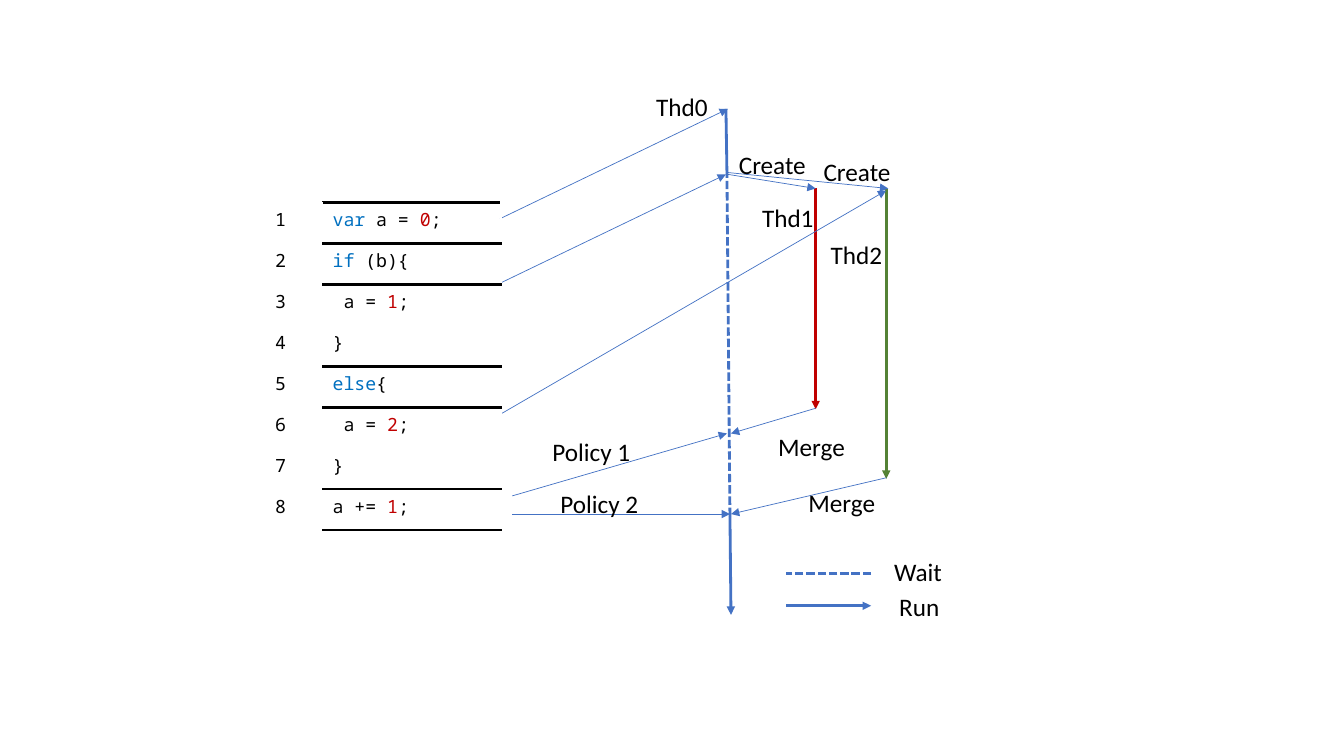
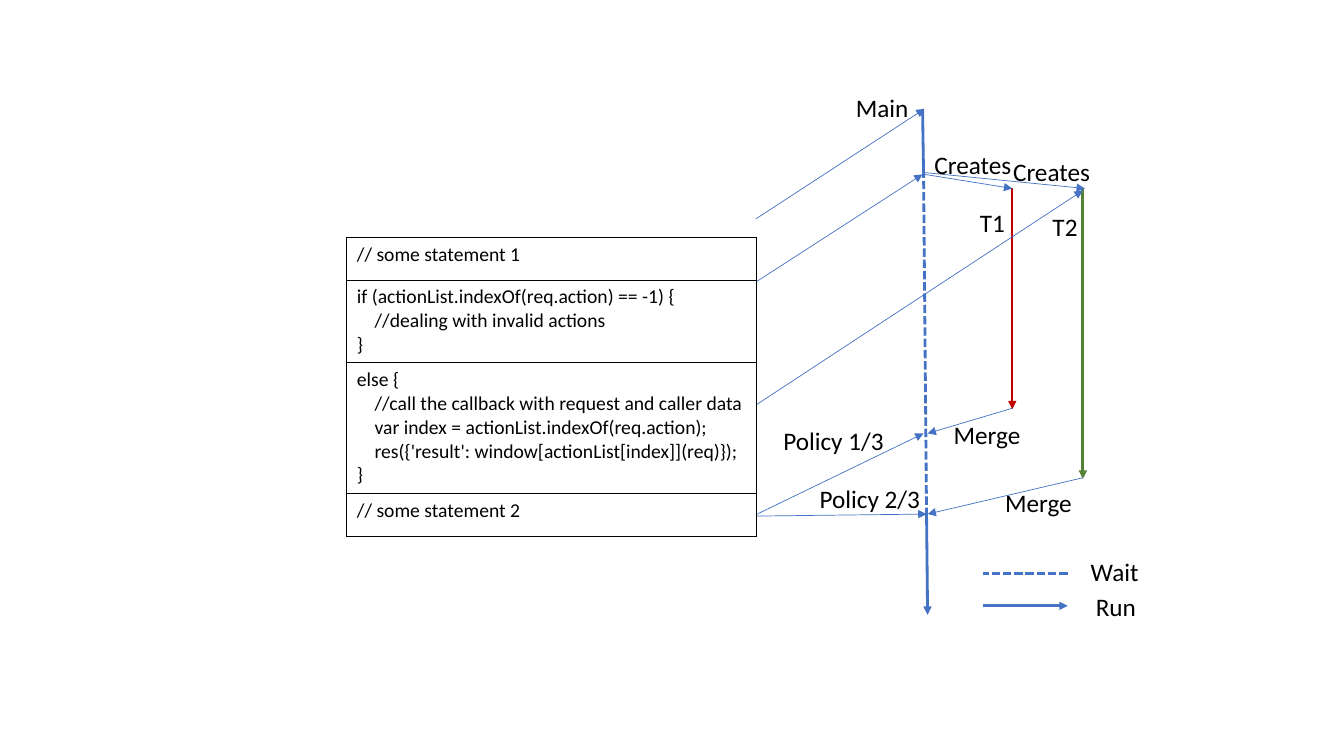
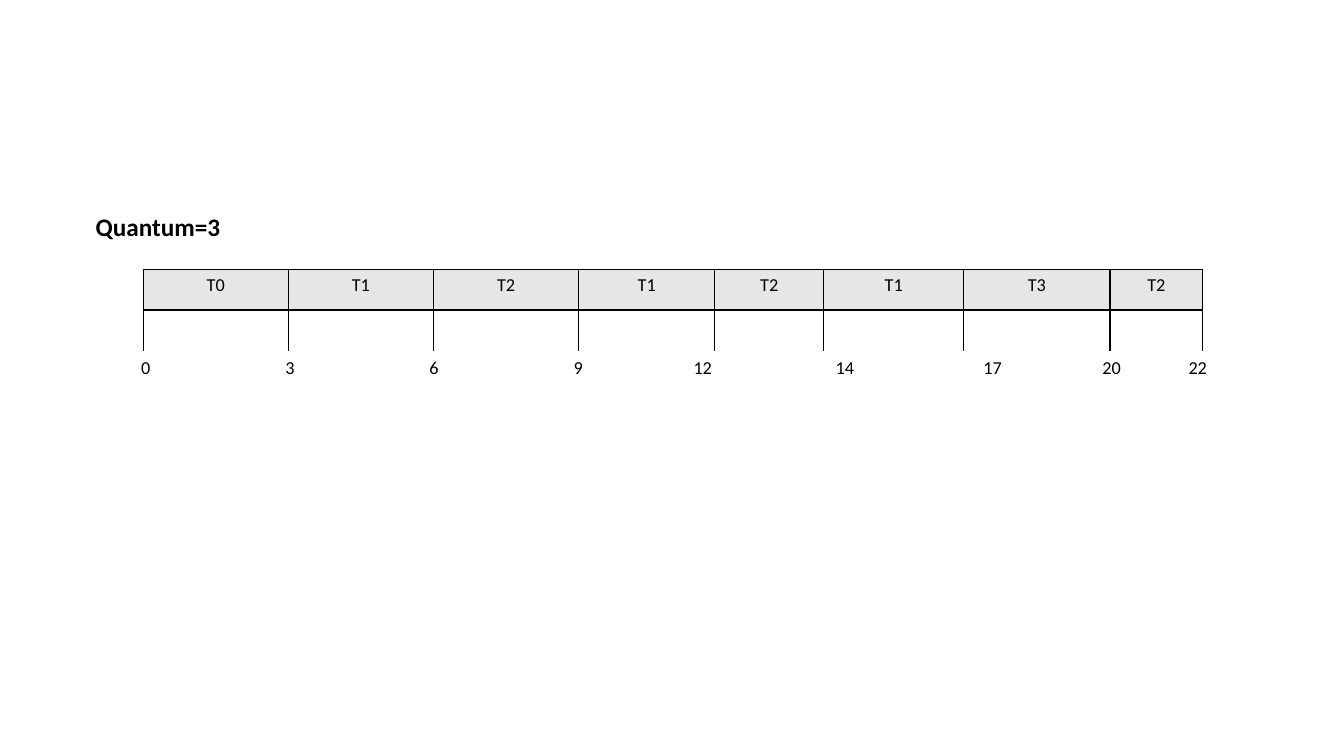
"""Draw two thread diagrams and a scheduling timeline."""
from lxml import etree
from pptx import Presentation, util as u
from pptx.dml.color import RGBColor
from pptx.enum import dml, text
from pptx.oxml import ns

BLACK = RGBColor(0x00, 0x00, 0x00)
WHITE = RGBColor(0xFF, 0xFF, 0xFF)
BLUE = RGBColor(0x44, 0x72, 0xC4)
RED = RGBColor(0xC0, 0x00, 0x00)
GREEN = RGBColor(0x54, 0x82, 0x35)
WORD = RGBColor(0x00, 0x70, 0xC0)
GREY = RGBColor(0xE7, 0xE6, 0xE6)
SANS, MONO = "Calibri", "Noto Sans Mono"
SPACE = {SANS: 0.226, MONO: 0.6}


def grid(n):
    return u.Inches(n / 10)


def write(frame, lines, font=SANS, size=18, color=BLACK, bold=False, align=None):
    for i, line in enumerate(lines):
        par = frame.paragraphs[0] if i == 0 else frame.add_paragraph()
        par.alignment = align
        runs = [line] if isinstance(line, str) else line
        if isinstance(runs[0], int):
            dent = u.Pt(runs[0] * SPACE[font] * size)
            prop = par._p.get_or_add_pPr()
            prop.set("marL", str(dent))
            prop.set("indent", "0")
            runs = runs[1:]
        for item in runs:
            word, tint = (item, color) if isinstance(item, str) else item
            run = par.add_run()
            run.text = word
            run.font.name = font
            run.font.size = u.Pt(size)
            run.font.bold = bold
            run.font.color.rgb = tint


class Deck:
    def __init__(self):
        self.file = Presentation()
        self.file.slide_width = u.Inches(13.33)
        self.file.slide_height = u.Inches(7.5)

    def page(self):
        self.slide = self.file.slides.add_slide(self.file.slide_layouts[6])

    def label(self, x, y, wide, words, **form):
        box = self.slide.shapes.add_textbox(*map(grid, (x, y, wide, 4)))
        frame = box.text_frame
        frame.word_wrap = True
        frame.auto_size = text.MSO_AUTO_SIZE.SHAPE_TO_FIT_TEXT
        write(frame, [words], **form)

    def line(self, start, end, color=BLUE, width=0.5, dash=False, head=True):
        link = self.slide.shapes.add_connector(1, *map(grid, (*start, *end)))
        link.line.color.rgb = color
        link.line.width = u.Pt(width)
        if dash:
            link.line.dash_style = dml.MSO_LINE.SQUARE_DOT
        if head:
            tip = etree.SubElement(link.line._get_or_add_ln(), ns.qn("a:tailEnd"))
            tip.set("type", "triangle")
        etree.SubElement(link._element.spPr, ns.qn("a:effectLst"))

    def table(self, x, y, cols, rows, cells, edge, fill=None, **form):
        size = map(grid, (x, y, sum(cols), sum(rows)))
        table = self.slide.shapes.add_table(len(rows), len(cols), *size).table
        table.first_row = table.horz_banding = False
        for col, wide in zip(table.columns, cols):
            col.width = grid(wide)
        for row, high in zip(table.rows, rows):
            row.height = grid(high)
        for r, line in enumerate(cells):
            for c, lines in enumerate(line):
                cell = table.cell(r, c)
                if fill and lines:
                    cell.fill.solid()
                    cell.fill.fore_color.rgb = fill
                else:
                    cell.fill.background()
                self.frame(cell, lambda side: edge(r, c, side))
                write(cell.text_frame, lines, **form)

    def frame(self, cell, edge):
        prop = cell._tc.get_or_add_tcPr()
        for i, side in enumerate("LRTB"):
            rule = etree.Element(ns.qn("a:ln" + side))
            prop.insert(i, rule)
            if edge(side) is None:
                etree.SubElement(rule, ns.qn("a:noFill"))
                continue
            color, width = edge(side)
            rule.set("w", str(u.Pt(width)))
            fill = etree.SubElement(rule, ns.qn("a:solidFill"))
            etree.SubElement(fill, ns.qn("a:srgbClr")).set("val", str(color))


def threads(deck, x, starts, labels):
    """Draw the threads right of x, with arrows from the code on the left."""
    deck.line((x + 0.4, 51.2), (x + 0.5, 61), width=2)
    deck.line((x + 8.9, 18.7), (x + 8.9, 40.6), RED, 1.75)
    deck.line((x + 15.9, 18.8), (x + 15.9, 47.5), GREEN, 2)
    deck.line((x + 0.4, 51.2), (x + 0.1, 17.1), width=2, dash=True, head=False)
    deck.line((x + 0.1, 17.1), (x, 10.8), width=2, head=False)
    deck.line((x + 0.2, 17.3), (x + 8.9, 18.7))
    deck.line((x, 17.1), (x + 16.1, 18.7))
    deck.line((x + 8.9, 40.5), (x + 0.5, 43))
    deck.line((x + 15.9, 47.4), (x + 0.5, 51))
    ends = (0.2, 10.8), (0, 17.3), (15.9, 18.9), (0.1, 43), (0.4, 51)
    for start, (dx, y) in zip(starts, ends):
        deck.line(start, (x + dx, y))
    deck.line((x + 14.4, 56.9), (x + 6, 56.9), width=2, dash=True, head=False)
    deck.line((x + 6, 60.1), (x + 14.4, 60.1), width=2)
    common = [(7.2, 47.9, 8.7, "Merge"), (15.7, 54.7, 9.6, "Wait"),
              (16.2, 58.2, 9.6, "Run")]
    for dx, y, wide, words in common + labels:
        deck.label(x + dx, y, wide, words)


def branch(deck):
    deck.page()
    threads(deck, 72,
            [(49.6, 21.7), (49.8, 28), (49.8, 41), (50.8, 49.2), (50.8, 51)],
            [(0.3, 14.3, 8.7, "Create"), (8.7, 15, 8.7, "Create"),
             (4.2, 42.3, 8.7, "Merge"), (-7.9, 8.6, 9.4, "Thd0"),
             (2.6, 19.6, 9.4, "Thd1"), (9.4, 23.3, 9.4, "Thd2"),
             (-18.2, 42.8, 12.5, "Policy 1"), (-17.4, 48, 12.5, "Policy 2")])
    code = [[("var", WORD), " a = ", ("0", RED), ";"],
            [("if ", WORD), "(b){"],
            [1, "a = ", ("1", RED), ";"],
            "}",
            [("else", WORD), "{"],
            [1, "a = ", ("2", RED), ";"],
            "}",
            ["a += ", ("1", RED), ";"]]
    ruled = {0, 1, 2, 4, 5, 7, 8}

    def edge(r, c, side):
        level = {"T": r, "B": r + 1}.get(side)
        return (BLACK, 2.25) if c == 1 and level in ruled else (WHITE, 1)

    cells = [([str(n)], [line]) for n, line in enumerate(code, 1)]
    deck.table(26.3, 20.1, [5.7, 17.7], [4.06] * 8, cells, edge, font=MONO, size=13)


def handler(deck):
    deck.page()
    threads(deck, 91.5,
            [(75, 21.7), (75.1, 27.9), (75.1, 40.1), (75.1, 51), (75.1, 51.2)],
            [(0.2, 14.3, 10.3, "Creates"), (8, 15, 11.1, "Creates"),
             (2.1, 41.1, 8.7, "Merge"), (-7.6, 8.7, 10.9, "Main"),
             (4.7, 20.1, 4.9, "T1"), (11.9, 20.5, 4.9, "T2"),
             (-14.8, 41.7, 12.5, "Policy 1/3"), (-11.2, 47.5, 12.5, "Policy 2/3")])
    blocks = [["// some statement 1"],
              ["if (actionList.indexOf(req.action) == -1) {",
               [4, "//dealing with invalid actions"],
               "}"],
              ["else {",
               [4, "//call the callback with request and caller data"],
               [4, "var index = actionList.indexOf(req.action);"],
               [4, "res({'result': window[actionList[index]](req)});"],
               "}"],
              ["// some statement 2"]]
    deck.table(34.4, 23.6, [40.6], [4.2, 8.2, 13, 4.2], [[b] for b in blocks],
               lambda r, c, side: (BLACK, 1), size=14)


def quantum(deck):
    deck.page()
    form = {"size": 13, "align": text.PP_ALIGN.CENTER}
    tasks = [[name] for name in "T0 T1 T2 T1 T2 T1 T3 T2".split()]
    deck.table(14.2, 26.7, [14.4, 14.4, 14.4, 13.5, 10.8, 13.9, 14.5, 9.2],
               [4.06] * 2, [tasks, [[]] * len(tasks)],
               lambda r, c, side: None if (r, side) == (1, "B") else (BLACK, 1),
               fill=GREY, **form)
    times = [[str(n)] for n in (0, 3, 6, 9, 12, 14, 17, 20, 22)]
    deck.table(7.3, 34.9, [14.3] * 4 + [10.4, 17.8, 11.5, 12.1, 5], [5.4],
               [times], lambda r, c, side: None, **form)
    deck.label(8.5, 20.5, 20.1, "Quantum=3", bold=True)


def main():
    deck = Deck()
    branch(deck)
    handler(deck)
    quantum(deck)
    deck.file.save("out.pptx")


if __name__ == "__main__":
    main()
